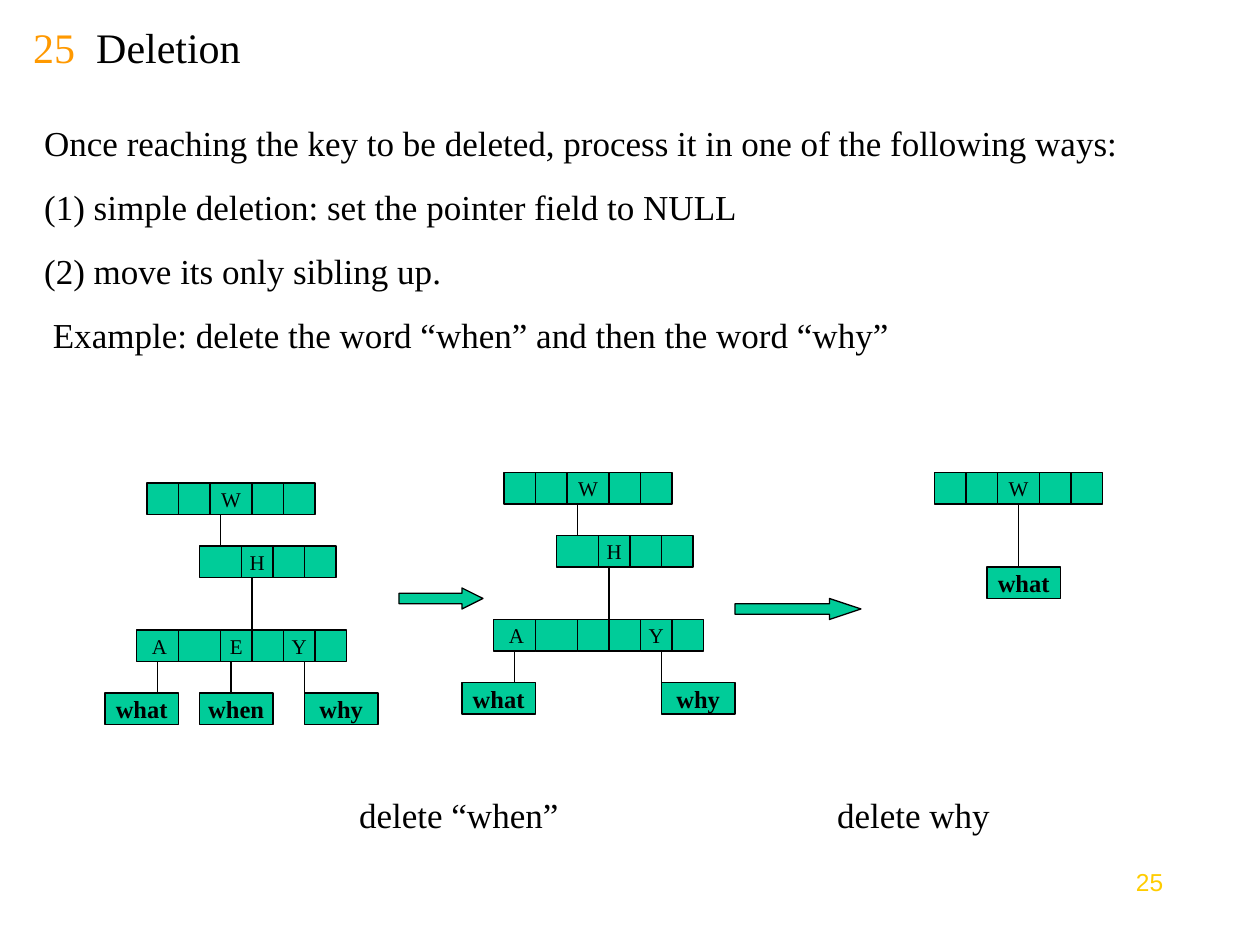
from lxml.etree import SubElement
from pptx import Presentation
from pptx.dml.color import RGBColor
from pptx.enum.shapes import MSO_CONNECTOR, MSO_SHAPE
from pptx.enum.text import MSO_ANCHOR, PP_ALIGN
from pptx.oxml.ns import qn
from pptx.util import Cm, Pt

SERIF = "Times New Roman"
BLACK, GREEN, ORANGE, YELLOW = "000000", "00CC99", "FF9900", "FFCC00"
LINE_WIDTH = Pt(0.74)
ROW_HEIGHT = 3
WORD_WIDTH = 7


def grid(units):
    """Length of grid units, twelve to the inch."""
    return Cm(units * 2.54 / 12)


def colour(value):
    return RGBColor.from_string(value)


def style_span(span, size, value=BLACK, font=SERIF, bold=False):
    span.font.size = Pt(size)
    span.font.name = font
    span.font.bold = bold
    span.font.color.rgb = colour(value)


def style_outline(line):
    line.color.rgb = colour(BLACK)
    line.width = LINE_WIDTH


# Text blocks
def add_text(page, box, lines, size, value=BLACK, font=SERIF,
             align=PP_ALIGN.LEFT, before=0, anchor=MSO_ANCHOR.TOP):
    frame = page.shapes.add_textbox(*map(Cm, box)).text_frame
    frame.word_wrap = True
    frame.vertical_anchor = anchor
    frame.text = "\n".join(lines)
    for para in frame.paragraphs:
        para.alignment = align
        para.space_before = Pt(before)
        for span in para.runs:
            style_span(span, size, value, font)
    return frame


def add_title(page, box, number, title):
    frame = add_text(page, box, [number], 24, ORANGE,
                     anchor=MSO_ANCHOR.MIDDLE)
    span = frame.paragraphs[0].add_run()
    span.text = title
    style_span(span, 24)


# Filled shapes and lines
def add_block(shapes, kind, left, top, width, height):
    block = shapes.add_shape(kind, *map(grid, (left, top, width, height)))
    block.shadow.inherit = False
    block.fill.solid()
    block.fill.fore_color.rgb = colour(GREEN)
    style_outline(block.line)
    return block


def add_cell(shapes, left, top, width, text="", size=12, bold=False):
    cell = add_block(shapes, MSO_SHAPE.RECTANGLE, left, top, width, ROW_HEIGHT)
    if text:
        frame = cell.text_frame
        frame.word_wrap = False
        frame.vertical_anchor = MSO_ANCHOR.MIDDLE
        para = frame.paragraphs[0]
        para.text = text
        para.alignment = PP_ALIGN.CENTER
        style_span(para.runs[0], size, bold=bold)


def add_link(shapes, x, top, bottom):
    link = shapes.add_connector(MSO_CONNECTOR.STRAIGHT, grid(x), grid(top),
                                grid(x), grid(bottom))
    style_outline(link.line)
    SubElement(link._element.spPr, qn("a:effectLst"))


def add_arrow(page, left, top, width, head):
    arrow = add_block(page.shapes, MSO_SHAPE.RIGHT_ARROW, left, top, width, 2)
    arrow.adjustments[0] = 0.5
    arrow.adjustments[1] = head


# Trie: rows of (left, top, cells), words and links, all relative to its corner
def add_trie(page, left, top, rows, words, links):
    shapes = page.shapes.add_group_shape().shapes
    for row_left, row_top, cells in rows:
        x = left + row_left
        for width, letter in cells:
            add_cell(shapes, x, top + row_top, width, letter)
            x += width
    for word_left, word_top, word in words:
        add_cell(shapes, left + word_left, top + word_top, WORD_WIDTH,
                 word, 14, True)
    for x, start, end in links:
        add_link(shapes, left + x, top + start, top + end)


def branch_row(middle):
    return (3, 14, [(4, " A"), (4, ""), (3, middle), (3, ""), (3, "Y"), (3, "")])


W_ROW = (4, 0, [(3, ""), (3, ""), (4, "W"), (3, ""), (3, "")])
H_ROW = (9, 6, [(4, ""), (3, "H"), (3, ""), (3, "")])
WHAT, WHEN, WHY = (0, 20, "what"), (9, 20, "when"), (19, 20, "why")
SHARED_LINKS = [(11, 3, 6), (14, 9, 14), (5, 17, 20), (19, 17, 20)]


def build_slide(deck):
    page = deck.slides.add_slide(deck.slide_layouts[6])

    # Heading and explanation
    add_title(page, (0.42, 0.42, 21.59, 1.06), "25", "  Deletion")
    add_text(page, (0.64, 2.33, 23.5, 4.98), [
        "Once reaching the key to be deleted, process it in one of the following ways:",
        "(1) simple deletion: set the pointer field to NULL",
        "(2) move its only sibling up.",
        " Example: delete the word “when” and then the word “why”",
    ], 20, before=12.5)

    # Three states of the trie with the steps between them
    add_trie(page, 10, 46, [W_ROW, H_ROW, branch_row("E")],
             [WHAT, WHEN, WHY], SHARED_LINKS + [(12, 17, 20)])
    add_arrow(page, 38, 56, 8, 1)
    add_trie(page, 44, 45, [W_ROW, H_ROW, branch_row("")],
             [WHAT, WHY], SHARED_LINKS)
    add_arrow(page, 70, 57, 12, 1.5)
    add_trie(page, 85, 45, [W_ROW], [(9, 9, "what")], [(12, 3, 9)])

    # Step captions and page number
    add_text(page, (6.99, 15.88, 4.66, 1.11), ["delete “when”"], 20, before=12.5)
    add_text(page, (16.3, 15.88, 4.23, 1.11), ["delete why"], 20,
             align=PP_ALIGN.CENTER, before=12.5)
    add_text(page, (22.01, 17.36, 1.69, 1.32), ["25"], 14, YELLOW, "Arial",
             PP_ALIGN.RIGHT)


deck = Presentation()
deck.slide_width, deck.slide_height = Cm(25.4), Cm(19.05)
build_slide(deck)
deck.save("out.pptx")
